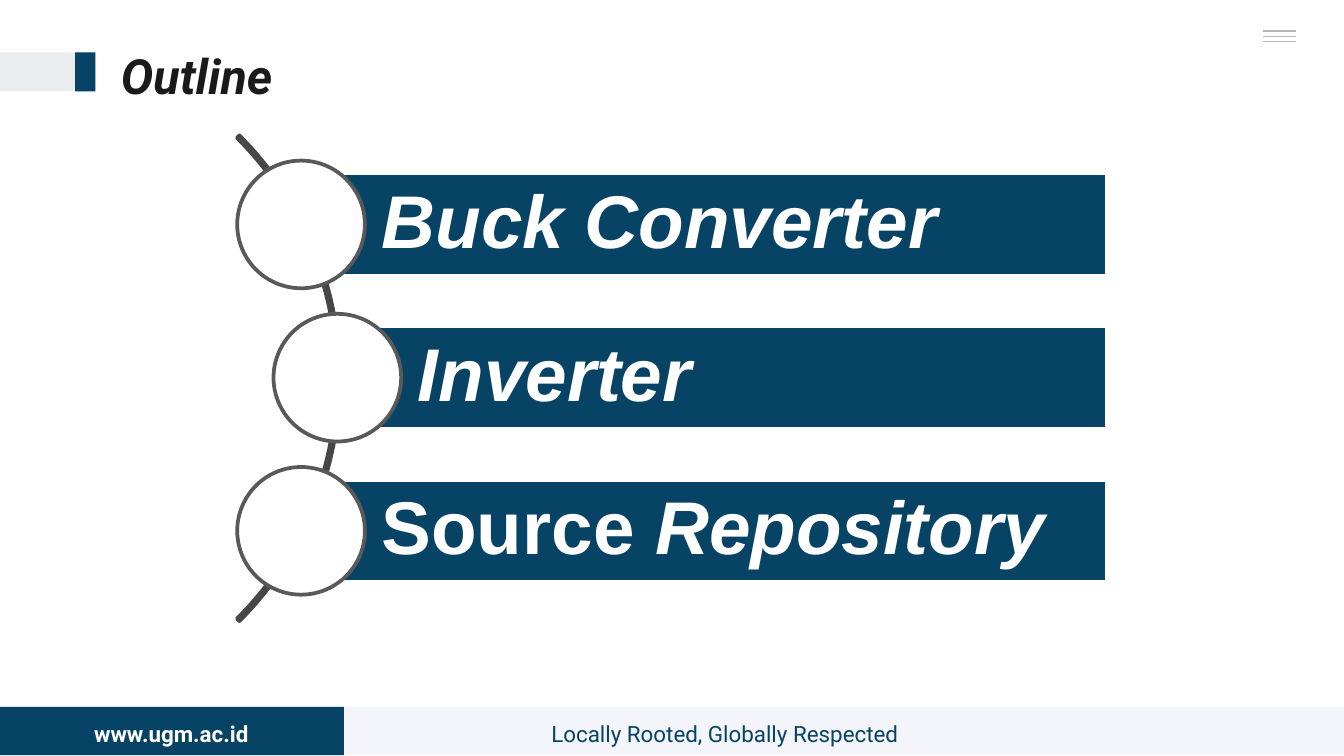
from pptx import Presentation
from pptx.dml.color import RGBColor as RGB
from pptx.enum.shapes import MSO_CONNECTOR as Link, MSO_SHAPE as Shape
from pptx.enum.text import MSO_ANCHOR as Anchor, PP_ALIGN as Align
from pptx.oxml.ns import qn
from pptx.util import Inches, Pt
from lxml.etree import SubElement

# Content: each item is its node's x and a list of (text, italic) runs
TITLE = "Outline"
ITEMS = [
    (2.24, [("Buck Converter", True)]),
    (2.51, [("Inverter", True)]),
    (2.24, [("Source", False), (" Repository", True)]),
]
SITE = "www.ugm.ac.id"
MOTTO = "Locally Rooted, Globally Respected"


class Theme:
    navy, pale, grey = "074364", "F4F5FB", "E9EDEE"
    white, ink, rule = "FFFFFF", "1A1A1A", "B7B7B7"
    arc, ring = "474747", "595959"
    head, body = "Roboto", "Arial"
    big, mid, small = 40, 26, 12


# Slide in 16:9
prs = Presentation()
prs.slide_width = Inches(10)
prs.slide_height = prs.slide_width * 9 // 16
slide = prs.slides.add_slide(prs.slide_layouts[5])
shapes = slide.shapes


def place(*box):
    return [Inches(v) for v in box]


def draw(kind, box, fill=None, line=None):
    item = shapes.add_shape(kind, *place(*box))
    item.shadow.inherit = False
    if fill:
        item.fill.solid()
        item.fill.fore_color.rgb = RGB.from_string(fill)
    else:
        item.fill.background()
    if line:
        item.line.color.rgb = RGB.from_string(line)
        item.line.width = Pt(2)
    else:
        item.line.fill.background()
    return item


def style(font, name, size, color, bold=False, italic=None):
    font.name, font.size = name, Pt(size)
    font.bold, font.italic = bold, italic
    font.color.rgb = RGB.from_string(color)


def inset(frame, left=0.1, rest=0.1):
    frame.margin_left = Inches(left)
    frame.margin_top = frame.margin_right = frame.margin_bottom = Inches(rest)
    frame.word_wrap = True


def label(text, box, color, bold=False):
    frame = shapes.add_textbox(*place(*box)).text_frame
    inset(frame)
    para = frame.paragraphs[0]
    para.text, para.alignment = text, Align.CENTER
    style(para.font, Theme.head, Theme.small, color, bold)


# Footer
draw(Shape.RECTANGLE, (0, 5.26, 10, 0.36), Theme.pale)
draw(Shape.RECTANGLE, (0, 5.26, 2.56, 0.36), Theme.navy)
label(SITE, (0.52, 5.26, 1.51, 0.38), Theme.white, True)
label(MOTTO, (3.51, 5.26, 3.77, 0.38), Theme.navy)

# Menu mark, top right
for row in range(3):
    y = Inches(0.23 + 0.04 * row)
    rule = shapes.add_connector(Link.STRAIGHT, Inches(9.4), y, Inches(9.64), y)
    rule.line.color.rgb = RGB.from_string(Theme.rule)
    rule.line.width = Pt(0.75)
    SubElement(rule._element.spPr, qn("a:effectLst"))

# Title and its tab
draw(Shape.RECTANGLE, (0, 0.39, 0.71, 0.29), Theme.grey)
draw(Shape.RECTANGLE, (0.56, 0.39, 0.15, 0.29), Theme.navy)
title = shapes.title
title.left, title.top, title.width, title.height = place(0.8, 0.24, 8.41, 0.59)
frame = title.text_frame
inset(frame)
frame.vertical_anchor = Anchor.TOP
para = frame.paragraphs[0]
para.text, para.alignment = TITLE, Align.LEFT
style(para.font, Theme.head, Theme.mid, Theme.ink, True, True)

# Arc behind the nodes: from 315 to 45 degrees, very thin
arc = draw(Shape.BLOCK_ARC, (-2.58, 0.26, 5.11, 5.11), line=Theme.arc)
for k, value in enumerate((189, 27, 0.005)):
    arc.adjustments[k] = value

# Bars start at the centre of their node and share a right edge
RIGHT, TOP, STEP = 8.24, 1.67, 1.14
HIGH, NODE = 0.76, 0.95
for k, (x, runs) in enumerate(ITEMS):
    y = TOP + STEP * k
    bar = draw(Shape.RECTANGLE, (x, y - HIGH / 2, RIGHT - x, HIGH),
               Theme.navy, Theme.white)
    frame = bar.text_frame
    inset(frame, 0.6, 0.11)
    frame.vertical_anchor = Anchor.MIDDLE
    para = frame.paragraphs[0]
    para.alignment, para.line_spacing = Align.LEFT, 0.9
    style(para.font, Theme.body, Theme.big, Theme.white, True)
    for text, slant in runs:
        run = para.add_run()
        run.text, run.font.italic = text, slant
    draw(Shape.OVAL, (x - NODE / 2, y - NODE / 2, NODE, NODE),
         Theme.white, Theme.ring)

prs.save("out.pptx")
